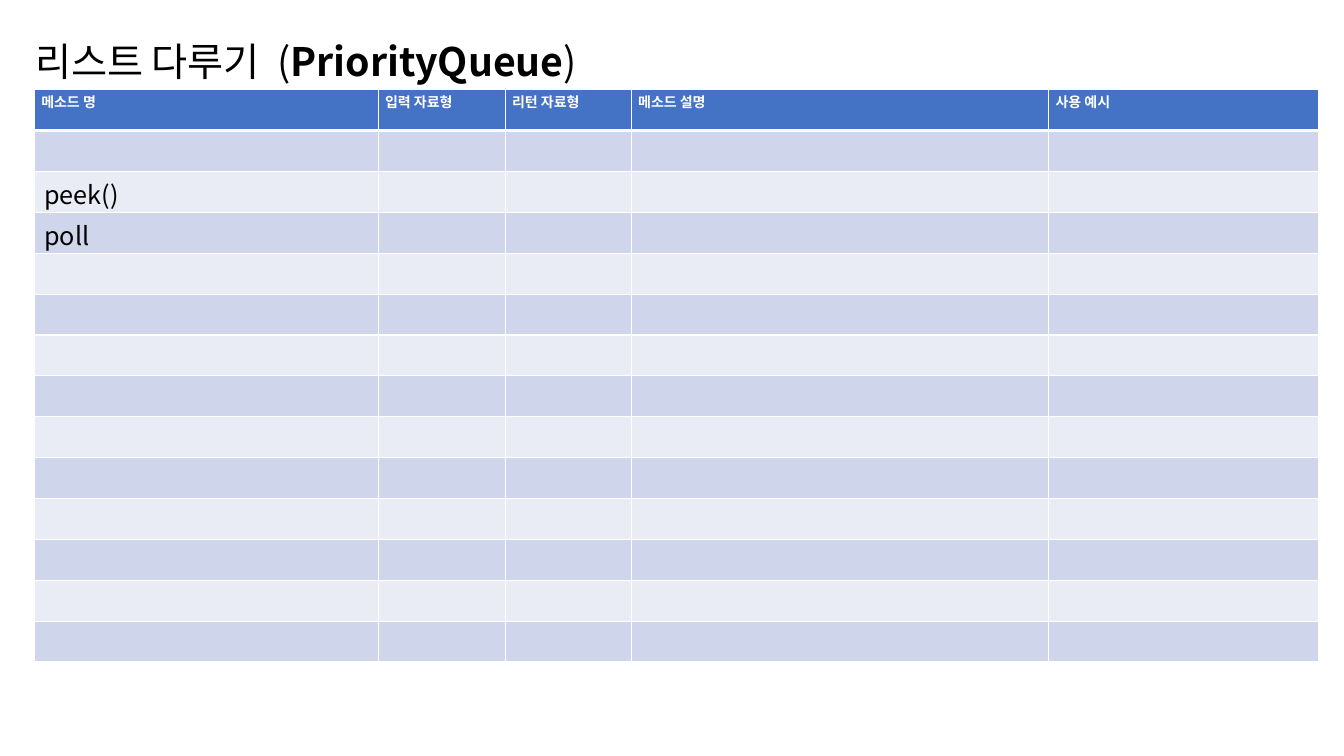
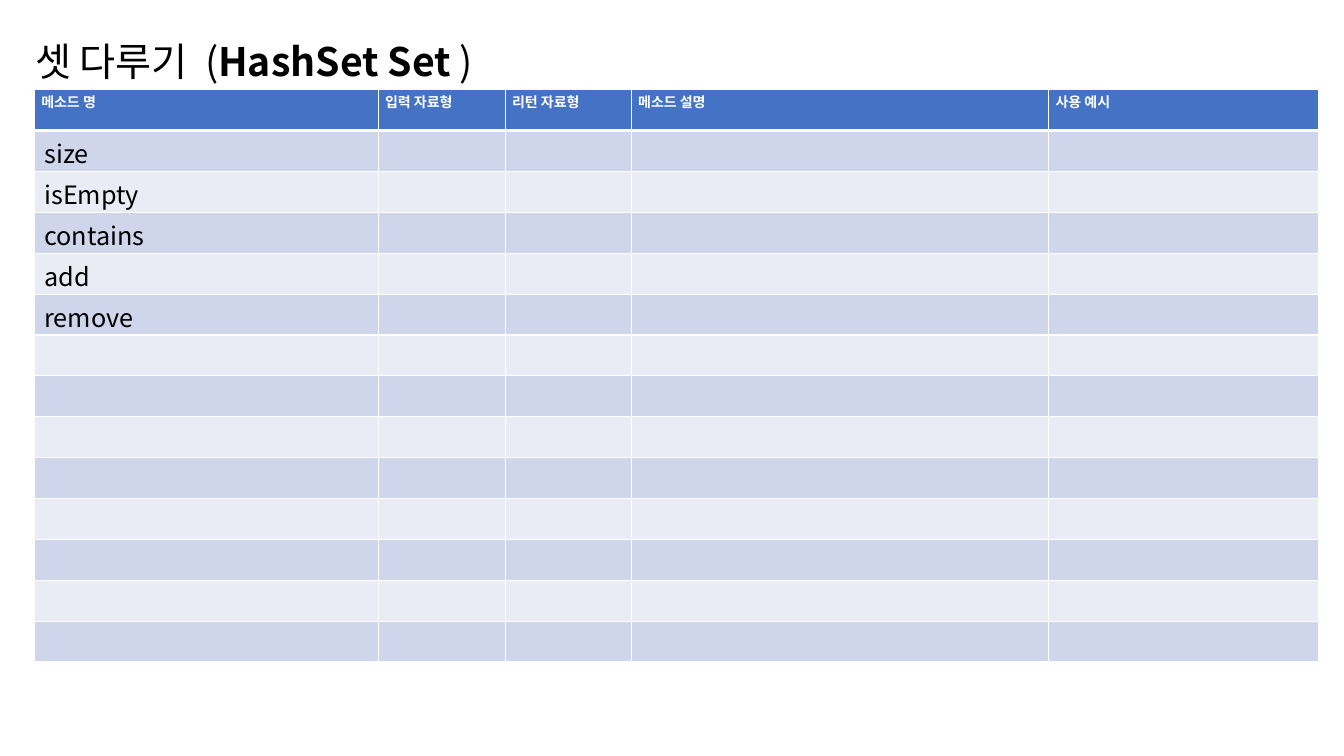
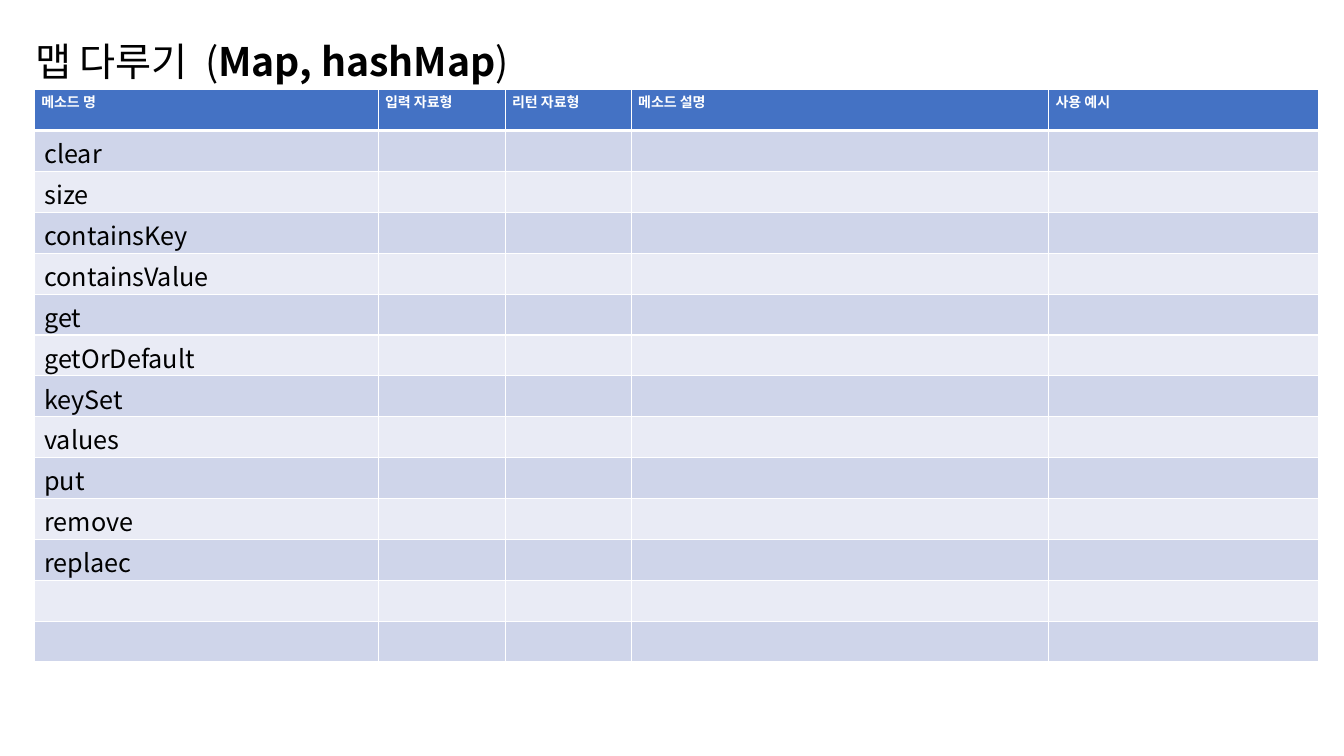
import pptx
import pptx.util
import pptx.dml.color
import pptx.enum.text
import pptx.oxml.ns
import lxml.etree

Inches = pptx.util.Inches
RGBColor = pptx.dml.color.RGBColor

HEADINGS = ["메소드 명", "입력 자료형", "리턴 자료형", "메소드 설명", "사용 예시"]
TOPICS = [
    ("리스트 다루기", "PriorityQueue", ["", "peek()", "poll"]),
    ("셋 다루기", "HashSet Set ", ["size", "isEmpty", "contains", "add", "remove"]),
    ("맵 다루기", "Map, hashMap",
     ["clear", "size", "containsKey", "containsValue", "get", "getOrDefault",
      "keySet", "values", "put", "remove", "replaec"]),
]

FONT = "Noto Sans CJK KR"
BLACK = RGBColor(0x00, 0x00, 0x00)
WHITE = RGBColor(0xFF, 0xFF, 0xFF)
HEADING_BLUE = RGBColor(0x44, 0x72, 0xC4)
BANDS = [RGBColor(0xE9, 0xEB, 0xF5), RGBColor(0xCF, 0xD5, 0xEA)]

SLIDE_SIZE = (13.33, 7.5)
TITLE_BOX = (0.25, 0.32, 7.67, 0.57)
TABLE_BOX = (0.34, 0.89, 12.75, 5.68)
COLUMN_WIDTHS = [3.41, 1.26, 1.25, 4.14, 2.68]
ROW_COUNT = 14
TITLE_GAP = 6


def add_run(paragraph, text, size, color, bold=False):
    run = paragraph.add_run()
    run.text = text
    run.font.size = pptx.util.Pt(size)
    run.font.bold = bold
    run.font.color.rgb = color
    run.font.name = FONT
    east_asian = lxml.etree.SubElement(run.font._element, pptx.oxml.ns.qn("a:ea"))
    east_asian.set("typeface", FONT)
    return run


def add_title(slide, subject, types):
    frame = slide.shapes.add_textbox(*map(Inches, TITLE_BOX)).text_frame
    frame.word_wrap = True
    frame.auto_size = pptx.enum.text.MSO_AUTO_SIZE.SHAPE_TO_FIT_TEXT
    title = frame.paragraphs[0]
    add_run(title, subject, 28, BLACK)
    gap = add_run(title, " ", 28, BLACK)
    gap.font._element.set("spc", str(TITLE_GAP * 100))
    add_run(title, "(", 28, BLACK)
    add_run(title, types, 28, BLACK, bold=True)
    add_run(title, ")", 28, BLACK)


def set_borders(cell, widths):
    properties = cell._tc.get_or_add_tcPr()
    for side, width in widths.items():
        line = lxml.etree.SubElement(properties, pptx.oxml.ns.qn(f"a:ln{side}"))
        line.set("w", str(pptx.util.Pt(width)))
        fill = lxml.etree.SubElement(line, pptx.oxml.ns.qn("a:solidFill"))
        lxml.etree.SubElement(fill, pptx.oxml.ns.qn("a:srgbClr")).set("val", str(WHITE))


def style_cell(cell, color, top=1, bottom=1):
    set_borders(cell, {"L": 1, "R": 1, "T": top, "B": bottom})
    cell.fill.solid()
    cell.fill.fore_color.rgb = color


def fill_heading(cell, heading):
    style_cell(cell, HEADING_BLUE, bottom=3)
    cell.margin_left = cell.margin_right = Inches(0.07)
    cell.margin_top = cell.margin_bottom = 0
    paragraph = cell.text_frame.paragraphs[0]
    paragraph.alignment = pptx.enum.text.PP_ALIGN.JUSTIFY
    paragraph.line_spacing = 1.07
    paragraph.space_after = pptx.util.Pt(8)
    add_run(paragraph, heading, 10, WHITE, bold=True)


def add_method_table(slide, methods):
    table = slide.shapes.add_table(
        ROW_COUNT, len(HEADINGS), *map(Inches, TABLE_BOX)).table
    for column, width in zip(table.columns, COLUMN_WIDTHS):
        column.width = Inches(width)
    for row in table.rows:
        row.height = Inches(TABLE_BOX[3] / ROW_COUNT)
    for column, heading in enumerate(HEADINGS):
        fill_heading(table.cell(0, column), heading)
    for row in range(1, ROW_COUNT):
        for column in range(len(HEADINGS)):
            cell = table.cell(row, column)
            style_cell(cell, BANDS[row % 2], top=3 if row == 1 else 1)
            cell.margin_top = Inches(0.04)
            cell.margin_bottom = 0
    for row, method in enumerate(methods, start=1):
        if method:
            add_run(table.cell(row, 0).text_frame.paragraphs[0], method, 18, BLACK)


def main():
    deck = pptx.Presentation()
    deck.slide_width, deck.slide_height = map(Inches, SLIDE_SIZE)
    for subject, types, methods in TOPICS:
        slide = deck.slides.add_slide(deck.slide_layouts[6])
        add_title(slide, subject, types)
        add_method_table(slide, methods)
    deck.save("out.pptx")


if __name__ == "__main__":
    main()
